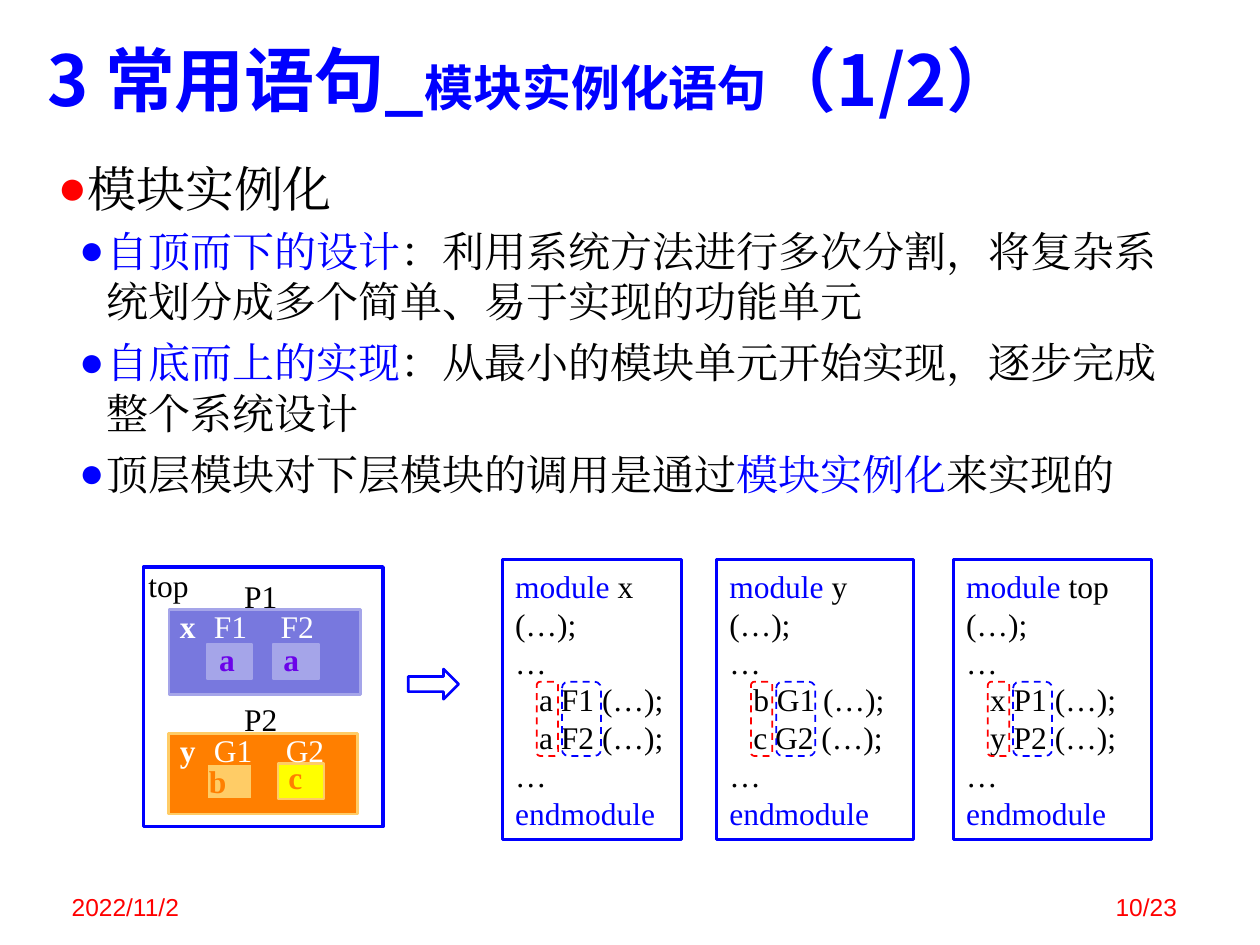
from dataclasses import dataclass

import pptx
import pptx.util
import pptx.dml.color
import pptx.enum.dml
import pptx.enum.shapes
import pptx.enum.text
from pptx.oxml.ns import qn

Inches, Pt = pptx.util.Inches, pptx.util.Pt
SHAPE = pptx.enum.shapes.MSO_SHAPE
ALIGN = pptx.enum.text.PP_ALIGN
ANCHOR = pptx.enum.text.MSO_ANCHOR


@dataclass(frozen=True)
class Theme:
    blue: str = "0000FF"
    red: str = "FF0000"
    black: str = "000000"
    white: str = "FFFFFF"
    violet: str = "7878DE"
    lilac: str = "A5A5E9"
    purple: str = "6B03E9"
    orange: str = "FF7F00"
    sand: str = "FFCC66"
    yellow: str = "FFFF00"
    serif: str = "Times New Roman"
    sans: str = "Arial"
    cjk: str = "Noto Sans CJK JP"
    title: int = 40
    heading: int = 28
    body: int = 24
    label: int = 18
    footer: int = 14
    leading: float = 1.2


T = Theme()


def rgb(value):
    return pptx.dml.color.RGBColor.from_string(value)


def add_run(p, text, size, color, font=T.serif, bold=False):
    r = p.add_run()
    r.text = text
    r.font.size, r.font.bold, r.font.name = Pt(size), bold, font
    r.font.color.rgb = rgb(color)
    ea = r.font._element.makeelement(qn("a:ea"), {"typeface": font})
    r.font._element.find(qn("a:latin")).addnext(ea)


def add_text(slide, x, y, w, h, anchor=ANCHOR.TOP):
    tf = slide.shapes.add_textbox(Inches(x), Inches(y), Inches(w), Inches(h)).text_frame
    tf.word_wrap = True
    tf.vertical_anchor = anchor
    return tf


def add_label(slide, x, y, text, color=T.black, bold=False):
    tf = add_text(slide, x, y, 0.6, 0.4)
    add_run(tf.paragraphs[0], text, T.label, color, bold=bold)


def add_box(slide, x, y, w, h, line, width, fill=None, kind=SHAPE.RECTANGLE, dashed=False):
    s = slide.shapes.add_shape(kind, Inches(x), Inches(y), Inches(w), Inches(h))
    s.shadow.inherit = False
    if fill:
        s.fill.solid()
        s.fill.fore_color.rgb = rgb(fill)
    else:
        s.fill.background()
    s.line.color.rgb = rgb(line)
    s.line.width = Pt(width)
    if dashed:
        s.line.dash_style = pptx.enum.dml.MSO_LINE.DASH
    return s


def set_bullet(p, color, left=0.0, hang=0.0):
    ppr = p._p.get_or_add_pPr()
    ppr.set("marL", str(Inches(left)))
    ppr.set("indent", str(-Inches(hang)))
    clr = ppr.makeelement(qn("a:buClr"), {})
    clr.append(clr.makeelement(qn("a:srgbClr"), {"val": color}))
    ppr.append(clr)
    ppr.append(ppr.makeelement(qn("a:buFont"), {"typeface": T.serif}))
    ppr.append(ppr.makeelement(qn("a:buChar"), {"char": "●"}))


def add_title(slide, x, y, w, h):
    s = slide.shapes.title
    s.left, s.top, s.width, s.height = Inches(x), Inches(y), Inches(w), Inches(h)
    tf = s.text_frame
    tf.auto_size = pptx.enum.text.MSO_AUTO_SIZE.NONE
    tf.vertical_anchor = ANCHOR.MIDDLE
    p = tf.paragraphs[0]
    p.alignment = ALIGN.LEFT
    for text, size in (("3 常用语句_", T.title), ("模块实例化语句", T.heading), ("（1/2）", T.title)):
        add_run(p, text, size, T.blue, T.cjk, True)


def add_bullets(slide, x, y, w, h):
    """Heading bullet on top, its three sub-points below."""
    heading_h = 0.53
    p = add_text(slide, x, y, w, heading_h).paragraphs[0]
    p.space_before = Pt(6)
    p.line_spacing = Pt(T.heading * T.leading)
    set_bullet(p, T.red)
    add_run(p, "模块实例化", T.heading, T.black)

    points = [
        [("自顶而下的设计", T.blue),
         ("：利用系统方法进行多次分割，将复杂系统划分成多个简单、易于实现的功能单元", T.black)],
        [("自底而上的实现", T.blue),
         ("：从最小的模块单元开始实现，逐步完成整个系统设计", T.black)],
        [("顶层模块对下层模块的调用是通过", T.black), ("模块实例化", T.blue), ("来实现的", T.black)],
    ]
    tf = add_text(slide, x, y + heading_h, w, h - heading_h)
    for i, runs in enumerate(points):
        p = tf.add_paragraph() if i else tf.paragraphs[0]
        p.space_before = Pt(6)
        p.line_spacing = Pt(T.body * T.leading)
        set_bullet(p, T.blue, 0.39, 0.22)
        for text, color in runs:
            add_run(p, text, T.body, color)


def add_block(slide, x, y, w, h, fill, line, name, title, parts):
    """A submodule; parts give offset, instance, module, fill, line and letter colour."""
    add_box(slide, x, y, w, h, line, 1.5, fill)
    add_label(slide, x + 0.5, y - 0.31, title)
    add_label(slide, x - 0.01, y - 0.07, name, T.white, True)
    for dx, instance, module, part_fill, part_line, letter, letter_dx, letter_dy in parts:
        add_box(slide, x + dx, y + h - 0.4, 0.36, 0.28, part_line, 1.25, part_fill)
        add_label(slide, x + dx - 0.04, y - 0.07, instance, T.white)
        add_label(slide, x + dx + letter_dx, y + letter_dy, module, letter, True)


def add_hierarchy(slide, x, y, w, h):
    add_block(slide, x + 0.2, y + 0.34, 1.52, 0.67, T.violet, T.lilac, "x", "P1", [
        (0.3, "F1", "a", T.lilac, T.lilac, T.purple, 0, 0.19),
        (0.83, "F2", "a", T.lilac, T.lilac, T.purple, -0.02, 0.19)])
    add_block(slide, x + 0.2, y + 1.32, 1.5, 0.64, T.orange, T.sand, "y", "P2", [
        (0.3, "G1", "b", T.sand, T.orange, T.orange, -0.08, 0.18),
        (0.87, "G2", "c", T.yellow, T.sand, T.orange, -0.02, 0.15)])
    add_box(slide, x, y, w, h, T.blue, 2)
    add_label(slide, x - 0.06, y - 0.06, "top")


def add_module(slide, x, y, w, h, name, instances):
    """Code of one module, its module and instance names framed."""
    s = add_box(slide, x, y, w, h, T.blue, 1.75)
    tf = s.text_frame
    tf.word_wrap = True
    tf.vertical_anchor = ANCHOR.MIDDLE
    lines = [[("module", T.blue), (f" {name} (…);", T.black)], [("…", T.black)]]
    lines += [[(f"{text} (…);", T.black)] for text in instances]
    lines += [[("…", T.black)], [("endmodule", T.blue)]]
    for i, runs in enumerate(lines):
        p = tf.add_paragraph() if i else tf.paragraphs[0]
        p.alignment = ALIGN.LEFT
        p.line_spacing = Pt(T.label * T.leading)
        if i in (2, 3):
            p._p.get_or_add_pPr().set("marL", str(Inches(0.19)))
        for text, color in runs:
            add_run(p, text, T.label, color)
    for dx, frame_w, color in ((0.27, 0.17, T.red), (0.47, 0.31, T.blue)):
        add_box(slide, x + dx, y + 0.97, frame_w, 0.59, color, 1,
                kind=SHAPE.ROUNDED_RECTANGLE, dashed=True)


def add_footer(slide, x, y, w, h):
    part_w = 2.08
    for left, text, align in ((x, "2022/11/2", ALIGN.LEFT),
                              (x + w - part_w, "10/23", ALIGN.RIGHT)):
        p = add_text(slide, left, y, part_w, h, ANCHOR.BOTTOM).paragraphs[0]
        p.alignment = align
        add_run(p, text, T.footer, T.red, T.sans)


def main():
    prs = pptx.Presentation()
    prs.slide_width, prs.slide_height = Inches(10), Inches(7.5)
    slide = prs.slides.add_slide(prs.slide_layouts[5])
    add_title(slide, 0.28, 0.24, 9.5, 0.77)
    add_bullets(slide, 0.36, 1.21, 9.12, 2.81)
    add_hierarchy(slide, 1.14, 4.5, 1.9, 2.06)
    add_box(slide, 3.24, 5.31, 0.4, 0.24, T.blue, 1.5, kind=SHAPE.RIGHT_ARROW)
    for x, w, name, instances in ((3.99, 1.42, "x", ("a F1", "a F2")),
                                  (5.69, 1.56, "y", ("b G1", "c G2")),
                                  (7.57, 1.57, "top", ("x P1", "y P2"))):
        add_module(slide, x, 4.44, w, 2.22, name, instances)
    add_footer(slide, 0.47, 6.86, 8.97, 0.5)
    prs.save("out.pptx")


if __name__ == "__main__":
    main()
